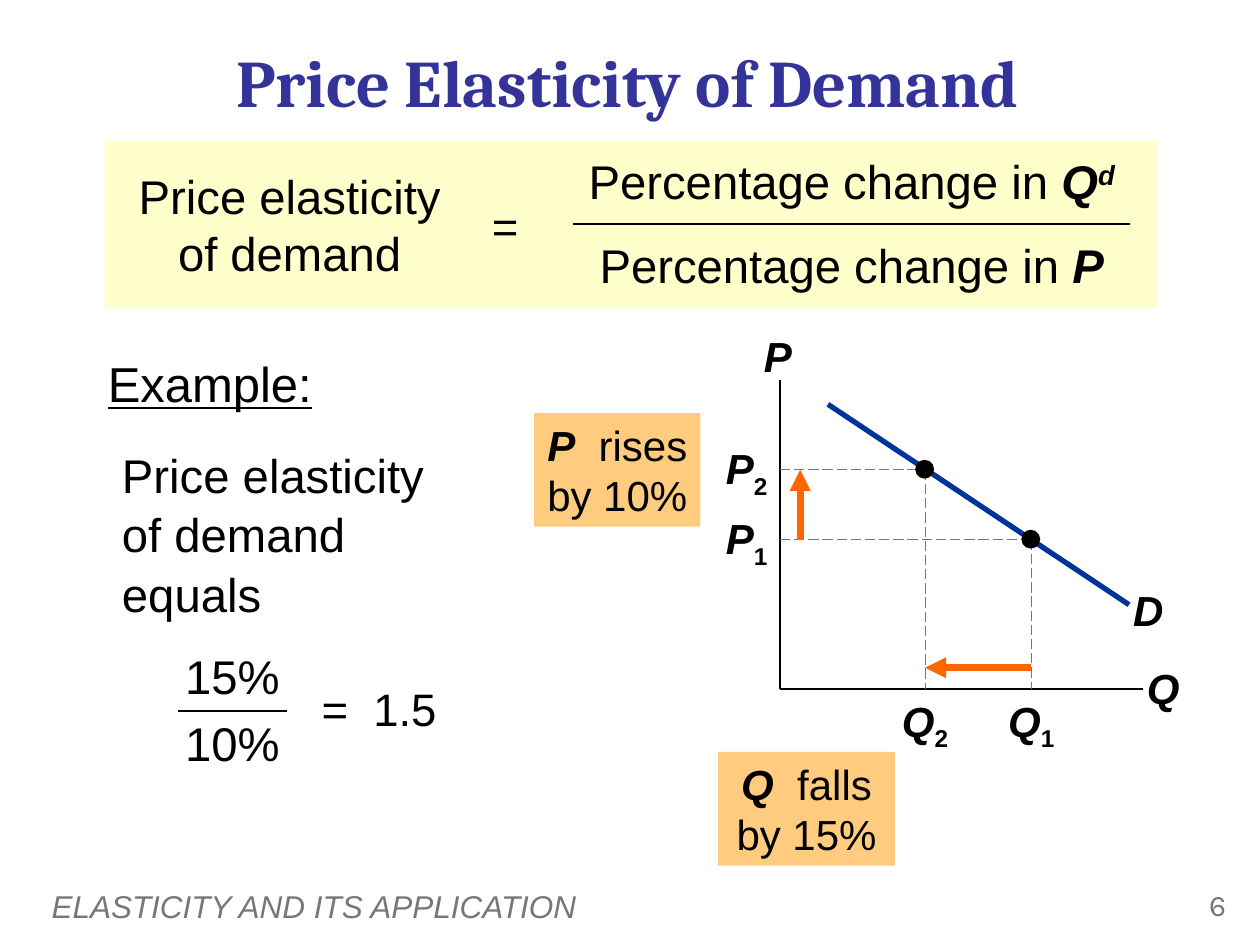
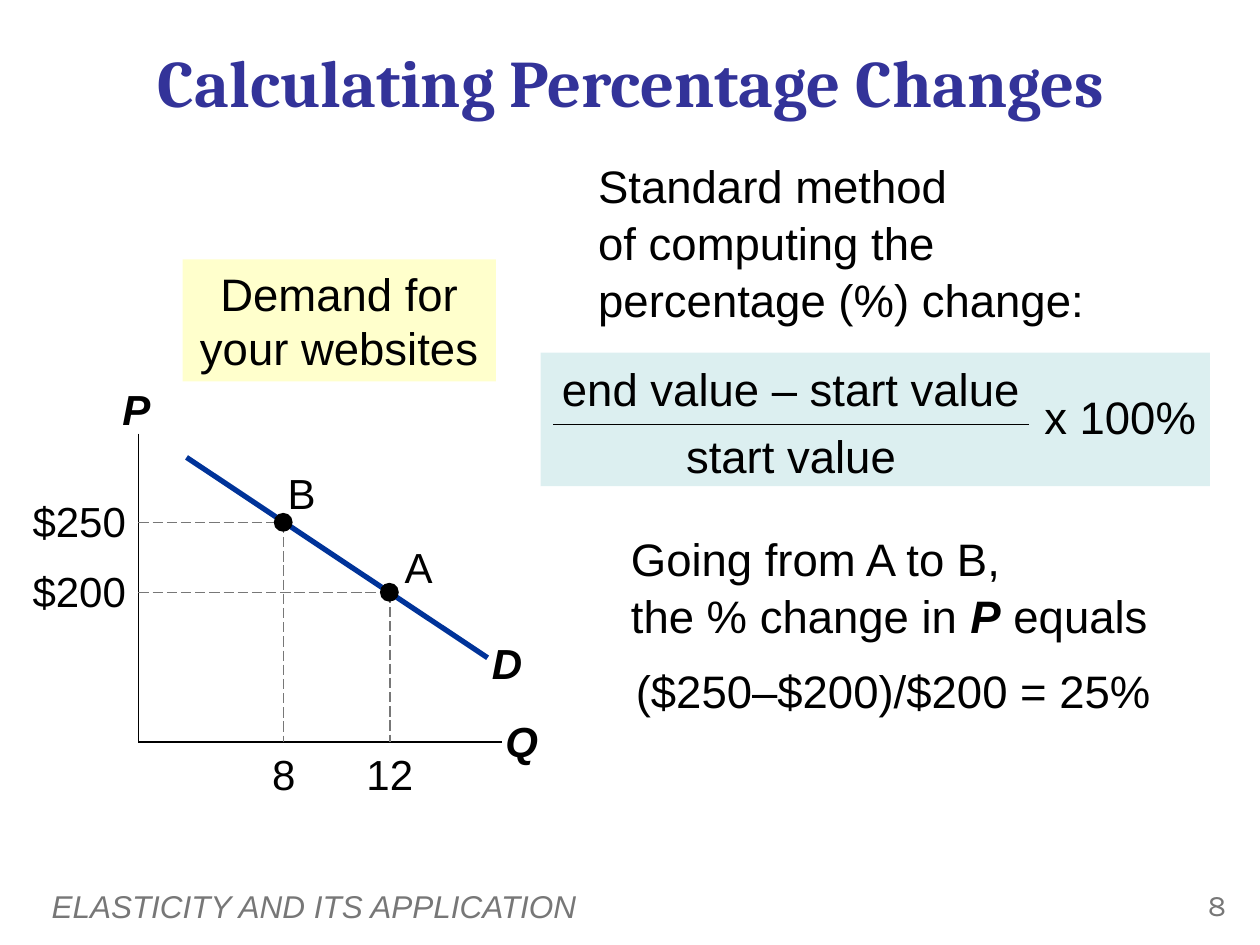
from dataclasses import dataclass

from lxml import etree
from pptx import Presentation
from pptx import util as u
from pptx.dml import color
from pptx.enum import dml, shapes, text
from pptx.oxml import ns


@dataclass(frozen=True)
class Theme:
    title_font: str = "Cambria"
    body_font: str = "Arial"
    number_font: str = "Karla"
    ink: str = "000000"
    title: str = "333399"
    muted: str = "777777"
    curve: str = "003399"
    arrow: str = "FF6600"
    note: str = "FF9900"
    formula: str = "FFFFCC"
    method: str = "BBE0E3"
    title_size: int = 38
    example_size: int = 28
    large_size: int = 27
    text_size: int = 26
    graph_size: int = 24
    footer_size: int = 18
    number_size: int = 17


THEME = Theme()
LEFT, CENTER, RIGHT = text.PP_ALIGN.LEFT, text.PP_ALIGN.CENTER, text.PP_ALIGN.RIGHT
LINE_HEIGHT = 1.27


def rgb(value):
    return color.RGBColor.from_string(value)


def style_font(font, size, ink, name):
    font.size, font.name = u.Pt(size), name
    font.color.rgb = rgb(ink)


def var(symbol):
    return symbol, True, True, 0


def indexed(symbol, index):
    return [var(symbol), (index, True, False, -25)]


def write(frame, content, size, align=CENTER, ink=THEME.ink, name=THEME.body_font):
    frame.word_wrap = True
    paragraph = frame.paragraphs[0]
    paragraph.alignment = align
    style_font(paragraph.font, size, ink, name)
    for part in [content] if isinstance(content, str) else content:
        if part == "\n":
            paragraph.add_line_break()
            continue
        wording, bold, italic, baseline = (part, None, None, 0) if isinstance(part, str) else part
        run = paragraph.add_run()
        run.text = wording
        run.font.bold, run.font.italic = bold, italic
        if baseline:
            run.font._element.set("baseline", str(baseline * 1000))
    return paragraph


@dataclass
class Region:
    slide: object
    left: float = 0
    top: float = 0

    def at(self, x, y):
        return u.Cm(self.left + x), u.Cm(self.top + y)

    def inner(self, x, y):
        return Region(self.slide, self.left + x, self.top + y)

    def text(self, x, y, width, content, size, height=LINE_HEIGHT, **style):
        box = self.slide.shapes.add_textbox(*self.at(x, y), u.Cm(width), u.Cm(height))
        return write(box.text_frame, content, size, **style)

    def centered(self, x, y, width, content, size):
        return self.text(x - width / 2, y, width, content, size)

    def shape(self, x, y, width, height, fill, kind=shapes.MSO_SHAPE.RECTANGLE, alpha=None):
        figure = self.slide.shapes.add_shape(kind, *self.at(x, y), u.Cm(width), u.Cm(height))
        figure.shadow.inherit = False
        figure.line.fill.background()
        figure.fill.solid()
        figure.fill.fore_color.rgb = rgb(fill)
        if alpha:
            tint = figure._element.spPr.find(".//" + ns.qn("a:srgbClr"))
            etree.SubElement(tint, ns.qn("a:alpha")).set("val", str(alpha * 1000))
        return figure

    def panel(self, x, y, width, height, fill, content, size, alpha=None):
        figure = self.shape(x, y, width, height, fill, alpha=alpha)
        figure.text_frame.vertical_anchor = text.MSO_ANCHOR.TOP
        write(figure.text_frame, content, size)

    def line(self, start, end, ink=THEME.ink, weight=1, dash=None, arrow=False):
        stroke = self.slide.shapes.add_connector(
            shapes.MSO_CONNECTOR.STRAIGHT, *self.at(*start), *self.at(*end))
        stroke.line.color.rgb = rgb(ink)
        stroke.line.width = u.Pt(weight)
        if dash:
            stroke.line.dash_style = dash
        if arrow:
            etree.SubElement(stroke.line._ln, ns.qn("a:tailEnd")).set("type", "triangle")
        etree.SubElement(stroke._element.spPr, ns.qn("a:effectLst"))


def fraction(bar, width, numerator, denominator, size, gap=0, weight=1):
    for content, y in ((numerator, -1.4 - gap), (denominator, gap - 0.06)):
        bar.centered(width / 2, y, width + 1.1, content, size)
    bar.line((0, 0), (width, 0), weight=weight)


UPPER, LOWER = (2.93, 1.8), (5.07, 3.21)
AXIS_WIDTH, AXIS_HEIGHT = 7.32, 6.22


def demand_graph(graph, marks):
    size = THEME.graph_size
    graph.line((0, 0), (0, AXIS_HEIGHT))
    graph.line((0, AXIS_HEIGHT), (AXIS_WIDTH, AXIS_HEIGHT))
    graph.line((0.97, 0.48), (7.04, 4.52), THEME.curve, 3)
    for symbol, x, y in (("P", -0.04, -1.14), ("Q", 7.73, 5.56), ("D", 7.43, 3.99)):
        graph.centered(x, y, 1.7, [var(symbol)], size)
    for (x, y), (price, quantity) in zip((UPPER, LOWER), marks):
        for start, end in (((0, y), (x, y)), ((x, y), (x, AXIS_HEIGHT))):
            graph.line(start, end, THEME.muted, 0.75, dml.MSO_LINE.LONG_DASH)
        graph.shape(x - 0.2, y - 0.2, 0.38, 0.38, THEME.ink, shapes.MSO_SHAPE.OVAL)
        graph.text(-2.5, y - 0.67, 2.5, price, size, align=RIGHT)
        graph.centered(x, AXIS_HEIGHT, 1.6, quantity, size)


def change_arrows(graph):
    graph.line((0.41, LOWER[1]), (0.41, UPPER[1]), THEME.arrow, 4, arrow=True)
    graph.line((LOWER[0], 5.79), (UPPER[0], 5.79), THEME.arrow, 4, arrow=True)


def elasticity_formula(band):
    size = THEME.large_size
    band.shape(0, 0, 21.23, 3.38, THEME.formula)
    band.text(0.23, 0.41, 7, "Price elasticity of demand", size, height=2.54)
    band.text(7.44, 1.02, 1.27, "=", THEME.text_size)
    change = "Percentage change in "
    fraction(band.inner(9.45, 1.68), 11.22,
             [change, var("Q"), ("d", True, True, 30)], [change, var("P")], size, gap=0.17)


def elasticity_example(example):
    example.text(0, 0, 5.56, "Example:", THEME.example_size).font.underline = True
    result = example.text(0.76, 1.8, 6.86, ["Price elasticity ", "\n", "of demand equals"],
                          THEME.large_size, height=5, align=LEFT)
    result.line_spacing = 1.05
    fraction(example.inner(2.13, 7.32), 2.21, "15%", "10%", THEME.large_size)
    example.text(4.47, 6.6, 3.45, "=  1.5", THEME.text_size)


def percentage_method(method):
    size = THEME.text_size
    intro = method.text(0.91, 0, 10.95,
                        ["Standard method ", "\n", "of computing the percentage (%) change:"],
                        size, height=3.84, align=LEFT)
    formula = method.inner(0, 4.11)
    formula.shape(0, 0, 13.49, 2.69, THEME.method, alpha=50)
    fraction(formula.inner(0.25, 1.45), 9.6, "end value – start value", "start value",
             size, weight=0.75)
    formula.text(9.78, 0.61, 3.81, "x 100%", size)
    case = method.text(1.57, 7.52, 10.95,
                       ["Going from A to B, ", "\n", "the % change in ", var("P"), " equals"],
                       size, height=2.74, align=LEFT)
    for paragraph in (intro, case):
        paragraph.line_spacing = 1.05
    method.text(1.4, 10.24, 11.43, "($250–$200)/$200 = 25%", size)


def start_slide(deck, heading, number, title_left, title_width):
    slide = deck.slides.add_slide(deck.slide_layouts[5])
    title = slide.shapes.title
    title.left, title.top = u.Cm(title_left), u.Cm(0.71)
    title.width, title.height = u.Cm(title_width), u.Cm(1.85)
    title.text_frame.auto_size = text.MSO_AUTO_SIZE.NONE
    title.text_frame.vertical_anchor = text.MSO_ANCHOR.MIDDLE
    write(title.text_frame, heading, THEME.title_size,
          ink=THEME.title, name=THEME.title_font).font.bold = True
    page = Region(slide)
    footer = page.inner(0.79, 17.75)
    footer.text(0, 0, 20.37, "ELASTICITY AND ITS APPLICATION", THEME.footer_size,
                height=1.02, align=LEFT, ink=THEME.muted).font.italic = True
    footer.text(22.27, 0, 1.91, number, THEME.number_size, height=1.02, align=RIGHT,
                ink=THEME.muted, name=THEME.number_font)
    return page


def elasticity_slide(deck):
    page = start_slide(deck, "Price Elasticity of Demand", "6", 0.97, 23.37)
    elasticity_example(page.inner(1.45, 7.01))
    graph = page.inner(15.72, 7.67)
    demand_graph(graph, [(indexed("P", n), indexed("Q", n)) for n in "21"])
    change_arrows(graph)
    for x, y, width, symbol, change in ((10.77, 8.33, 3.35, "P", "  rises by 10%"),
                                        (14.48, 15.16, 3.56, "Q", "  falls by 15%")):
        page.panel(x, y, width, 2.29, THEME.note, [var(symbol), change],
                   THEME.graph_size, alpha=50)
    elasticity_formula(page.inner(2.11, 2.84))


def percentage_slide(deck):
    page = start_slide(deck, "Calculating Percentage Changes", "8", 0.66, 24.13)
    graph = page.inner(2.79, 8.74)
    demand_graph(graph, [("$250", "8"), ("$200", "12")])
    for letter, (x, y), dx, dy in (("B", UPPER, 0.36, -1.25), ("A", LOWER, 0.58, -1.15)):
        graph.centered(x + dx, y + dy, 1.1, letter, THEME.graph_size)
    page.panel(3.68, 5.23, 6.32, 2.46, THEME.formula, "Demand for your websites",
               THEME.text_size)
    percentage_method(page.inner(10.9, 3))


def main():
    deck = Presentation()
    deck.slide_width, deck.slide_height = u.Cm(25.4), u.Cm(19.05)
    elasticity_slide(deck)
    percentage_slide(deck)
    deck.save("out.pptx")


if __name__ == "__main__":
    main()
